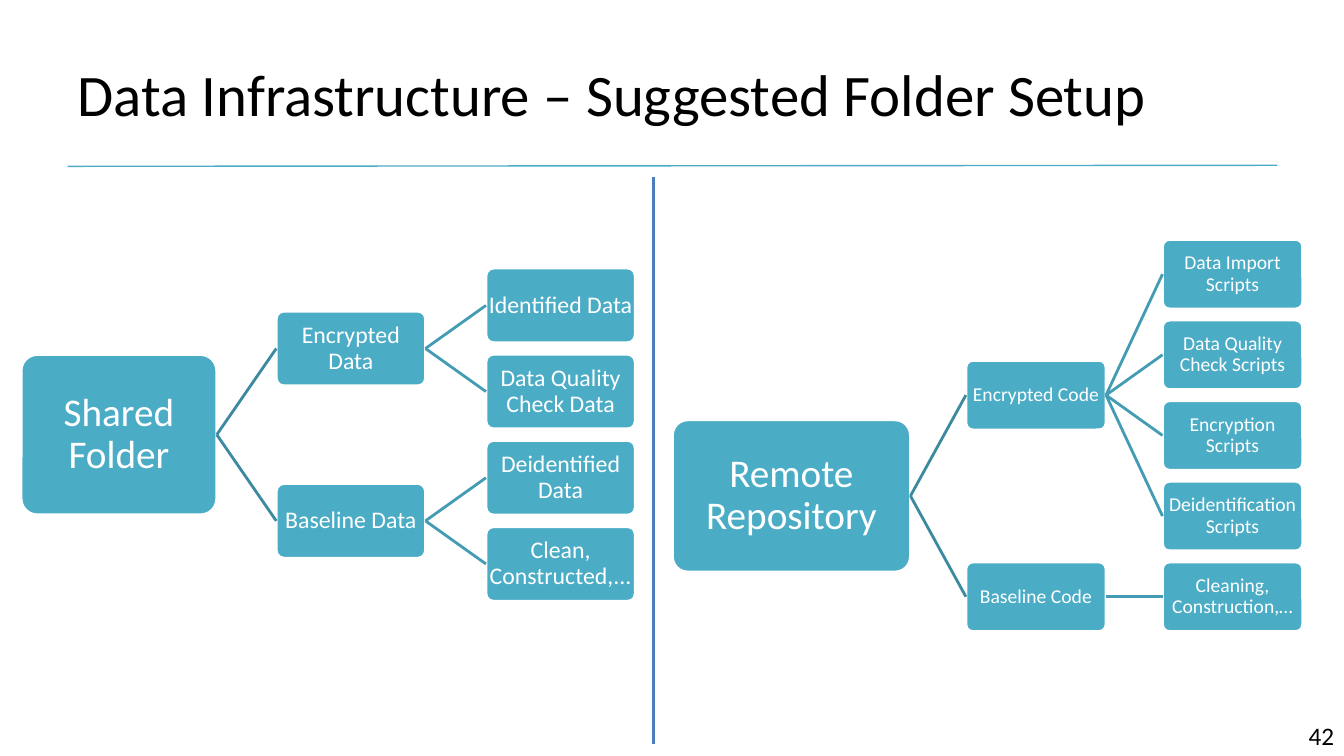
from lxml.etree import SubElement
from pptx import Presentation
from pptx.dml.color import RGBColor
from pptx.enum.shapes import MSO_CONNECTOR as Conn, MSO_SHAPE as Shape
from pptx.enum.text import MSO_ANCHOR as Anchor, PP_ALIGN as Align
from pptx.oxml.ns import qn
from pptx.util import Inches, Pt

TITLE = "Data Infrastructure – Suggested Folder Setup"
PAGE = "42"
TREES = [
    dict(root="Shared Folder", root_size=(1.94, 1.59), box=(1.48, 0.74),
         columns=(0.21, 2.74, 4.82), first=3.03, pitch=0.855, pt=17,
         branches=[("Encrypted Data", ["Identified Data", "Data Quality Check Data"]),
                   ("Baseline Data", ["Deidentified Data", "Clean, Constructed,..."])]),
    dict(root="Remote Repository", root_size=(2.36, 1.51), box=(1.39, 0.69),
         columns=(6.67, 9.58, 11.53), first=2.72, pitch=0.8, pt=14,
         branches=[("Encrypted Code", ["Data Import Scripts", "Data Quality Check Scripts",
                                       "Encryption Scripts", "Deidentification Scripts"]),
                   ("Baseline Code", ["Cleaning, Construction,…"])]),
]
COLORS = dict(box="4BACC6", white="FFFFFF", text="000000", trunk="3C8A9F",
              twig="449CB4", divider="4B7EBC")
FONT = "Calibri"
ROOT_PT = 28


def rgb(name):
    return RGBColor.from_string(COLORS[name])


def write(sp, text, pt, color, inset, **paragraph):
    tf = sp.text_frame
    for side in ("left", "right", "top", "bottom"):
        setattr(tf, f"margin_{side}", Inches(inset))
    tf.word_wrap = True
    tf.vertical_anchor = Anchor.MIDDLE
    p = tf.paragraphs[0]
    for name, value in paragraph.items():
        setattr(p, name, value)
    r = p.add_run()
    r.text = text
    for name, value in dict(name=FONT, size=Pt(pt)).items():
        setattr(r.font, name, value)
    r.font.color.rgb = rgb(color)
    return tf


def line(start, end, color, width):
    c = s.shapes.add_connector(Conn.STRAIGHT, *map(Inches, start + end))
    c.line.color.rgb = rgb(color)
    c.line.width = Pt(width)
    SubElement(c._element.spPr, qn("a:effectLst"))
    return c


def box(text, left, middle, size, pt):
    width, height = size
    sp = s.shapes.add_shape(Shape.ROUNDED_RECTANGLE, *map(
        Inches, (left, middle - height / 2, width, height)))
    sp.adjustments[0] = 0.1
    sp.shadow.inherit = False
    sp.fill.solid()
    sp.fill.fore_color.rgb = rgb("box")
    sp.line.color.rgb = rgb("white")
    sp.line.width = Pt(2)
    write(sp, text, pt, "white", 0, alignment=Align.CENTER, line_spacing=0.9)
    return sp


def join(parent, child, color):
    c = line((0, 0), (1, 1), color, 2)
    c.begin_connect(parent, 3)
    c.end_connect(child, 1)


def mean(values):
    return sum(values) / len(values)


def draw_tree(root, root_size, box_size, columns, first, pitch, pt, branches):
    root_x, branch_x, leaf_x = columns
    row, groups = 0, []
    for name, leaves in branches:
        middles = [first + pitch * (row + i) for i in range(len(leaves))]
        groups.append((name, list(zip(leaves, middles)), mean(middles)))
        row += len(leaves)
    trunk = box(root, root_x, mean([g[2] for g in groups]), root_size, ROOT_PT)
    for name, leaves, middle in groups:
        branch = box(name, branch_x, middle, box_size, pt)
        join(trunk, branch, "trunk")
        for leaf, y in leaves:
            join(branch, box(leaf, leaf_x, y, box_size, pt), "twig")


prs = Presentation()
prs.slide_width, prs.slide_height = Inches(13.33), Inches(7.5)
s = prs.slides.add_slide(prs.slide_layouts[6])

line((0.67, 1.65), (12.67, 1.64), "box", 1)
title = s.shapes.add_textbox(*map(Inches, (0.67, 0.3, 12, 1.25)))
write(title, TITLE, 42, "text", 0.1)
for tree in TREES:
    draw_tree(box_size=tree.pop("box"), **tree)
line((6.48, 1.76), (6.48, 7.38), "divider", 2)
page = s.shapes.add_textbox(*map(Inches, (12.88, 7.1, 0.46, 0.4)))
write(page, PAGE, 18, "text", 0.1).word_wrap = False

prs.save("out.pptx")
